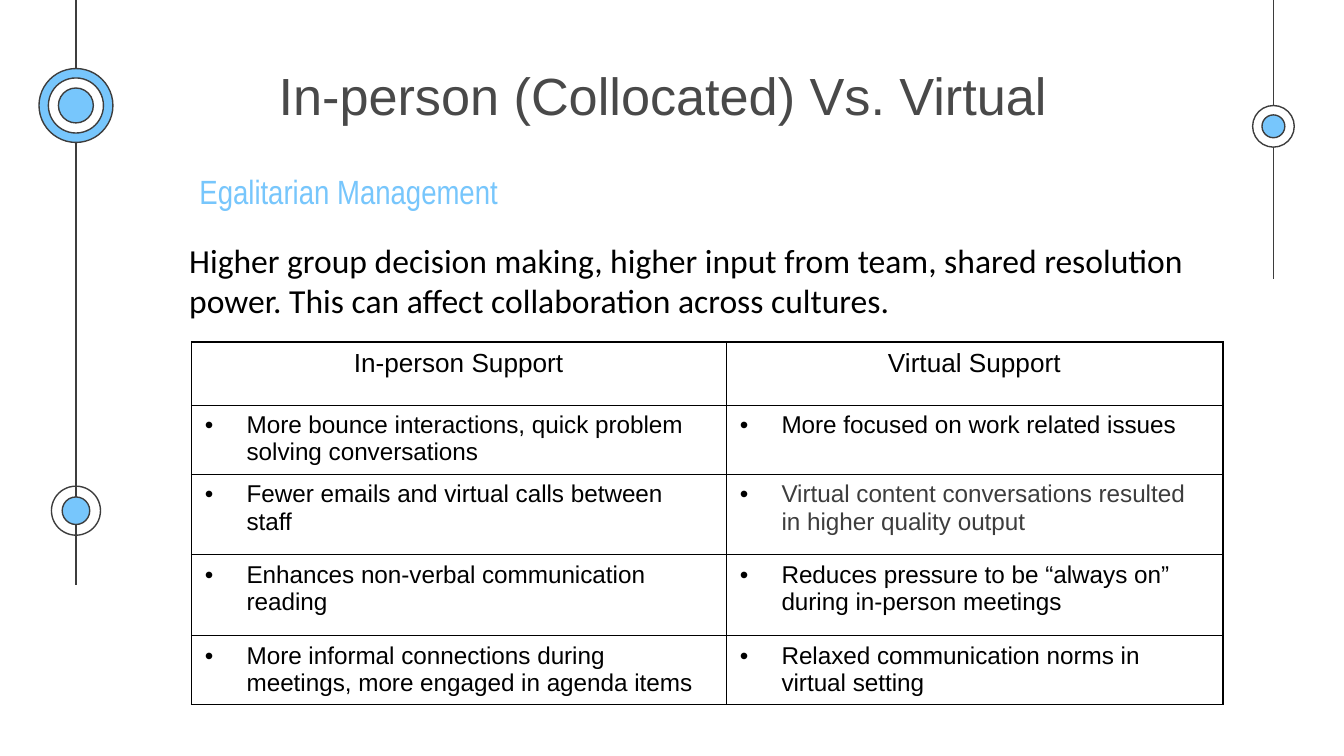
from pptx import Presentation
from pptx.dml.color import RGBColor
from pptx.enum.shapes import MSO_CONNECTOR, MSO_SHAPE
from pptx.enum.text import MSO_ANCHOR, PP_ALIGN
from pptx.oxml.ns import qn
from pptx.util import Emu, Pt
from lxml import etree

EMU_PER_PX = 4572  # 200 px to the inch
SLIDE_WIDTH, SLIDE_HEIGHT = 2000, 1125

BLACK = RGBColor(0x00, 0x00, 0x00)
WHITE = RGBColor(0xFF, 0xFF, 0xFF)
BLUE = RGBColor(0x77, 0xC6, 0xFC)
CHARCOAL = RGBColor(0x3D, 0x3D, 0x3D)
GREY = RGBColor(0x49, 0x49, 0x49)

STRAIGHT, OVAL = MSO_CONNECTOR.STRAIGHT, MSO_SHAPE.OVAL
LEFT, CENTER = PP_ALIGN.LEFT, PP_ALIGN.CENTER
TOP, MIDDLE = MSO_ANCHOR.TOP, MSO_ANCHOR.MIDDLE


def px(length):
    return Emu(round(length * EMU_PER_PX))


class SlideBuilder:
    font = "Arial"
    line_width = Pt(0.75)
    inset = 20
    bullet_indent = 62

    def __init__(self, slide):
        self.slide = slide

    def style_paragraph(self, paragraph, size, color, align=LEFT, font=None):
        paragraph.alignment = align
        paragraph.font.name = font or self.font
        paragraph.font.size = Pt(size)
        paragraph.font.color.rgb = color

    def vertical_line(self, x, bottom):
        line = self.slide.shapes.add_connector(STRAIGHT, px(x), px(0), px(x), px(bottom))
        line.line.color.rgb = CHARCOAL
        line.line.width = self.line_width
        etree.SubElement(line._element.spPr, qn("a:effectLst"))

    def circle(self, center_x, center_y, diameter, color):
        left, top = center_x - diameter / 2, center_y - diameter / 2
        shape = self.slide.shapes.add_shape(OVAL, px(left), px(top), px(diameter), px(diameter))
        shape.shadow.inherit = False
        if color is None:
            shape.fill.background()
        else:
            shape.fill.solid()
            shape.fill.fore_color.rgb = color
        shape.line.color.rgb = CHARCOAL
        shape.line.width = self.line_width

    def text(self, box, wording, size, color, align=LEFT, anchor=TOP, font=None):
        frame = self.slide.shapes.add_textbox(*map(px, box)).text_frame
        frame.word_wrap = True
        frame.vertical_anchor = anchor
        frame.margin_left = frame.margin_right = px(self.inset)
        frame.margin_top = frame.margin_bottom = px(self.inset)
        paragraph = frame.paragraphs[0]
        paragraph.text = wording
        self.style_paragraph(paragraph, size, color, align, font)

    def add_bullet(self, paragraph):
        properties = paragraph._p.get_or_add_pPr()
        properties.set("marL", str(px(self.bullet_indent)))
        properties.set("indent", str(-px(self.bullet_indent)))
        bullet_color = etree.SubElement(properties, qn("a:buClr"))
        etree.SubElement(bullet_color, qn("a:srgbClr"), val=str(BLACK))
        etree.SubElement(properties, qn("a:buFont"), typeface=self.font)
        etree.SubElement(properties, qn("a:buChar"), char="•")

    def add_borders(self, cell):
        properties = cell._tc.get_or_add_tcPr()
        for side in ("lnL", "lnR", "lnT", "lnB"):
            border = etree.SubElement(properties, qn(f"a:{side}"), w=str(self.line_width))
            fill = etree.SubElement(border, qn("a:solidFill"))
            etree.SubElement(fill, qn("a:srgbClr"), val=str(BLACK))

    def table(self, left, top, widths, heights, rows, accents):
        table = self.slide.shapes.add_table(
            len(rows), len(widths), px(left), px(top), px(sum(widths)), px(sum(heights))
        ).table
        for column, width in zip(table.columns, widths):
            column.width = px(width)
        for row, height in zip(table.rows, heights):
            row.height = px(height)
        for row_index, row in enumerate(rows):
            for column_index, wording in enumerate(row):
                cell = table.cell(row_index, column_index)
                self.add_borders(cell)
                cell.fill.background()
                cell.margin_left, cell.margin_right = px(20), px(21)
                cell.margin_top, cell.margin_bottom = px(10), px(6)
                paragraph = cell.text_frame.paragraphs[0]
                paragraph.text = wording
                if row_index == 0:
                    self.style_paragraph(paragraph, 14, BLACK, CENTER)
                else:
                    self.add_bullet(paragraph)
                    color = accents.get((row_index, column_index), BLACK)
                    self.style_paragraph(paragraph, 13, color)


def main():
    presentation = Presentation()
    presentation.slide_width = px(SLIDE_WIDTH)
    presentation.slide_height = px(SLIDE_HEIGHT)
    builder = SlideBuilder(presentation.slides.add_slide(presentation.slide_layouts[6]))

    # Side lines with ringed dots
    left_x, right_x = 113, 1895
    builder.vertical_line(left_x, 870)
    builder.vertical_line(right_x, 415)
    dots = [
        (left_x, 760, [(73, None), (41, BLUE)]),
        (right_x, 188, [(62, WHITE), (34, BLUE)]),
        (left_x, 157, [(110, BLUE), (82, WHITE), (52, BLUE)]),
    ]
    for x, y, rings in dots:
        for diameter, color in rings:
            builder.circle(x, y, diameter, color)

    # Headings and introduction
    builder.text((376, 75, 1220, 130), "In-person (Collocated) Vs. Virtual", 28, GREY, CENTER, MIDDLE)
    builder.text((224, 234, 590, 72), "Egalitarian Management", 18, BLUE, CENTER, font="Arial Narrow")
    builder.text(
        (262, 337, 1560, 184),
        "Higher group decision making, higher input from team, shared resolution power. "
        "This can affect collaboration across cultures.",
        18, BLACK, font="Calibri",
    )

    # Comparison table
    rows = [
        ("In-person Support", "Virtual Support"),
        ("More bounce interactions, quick problem solving conversations",
         "More focused on work related issues"),
        ("Fewer emails and virtual calls between staff",
         "Virtual content conversations resulted in higher quality output"),
        ("Enhances non-verbal communication reading",
         "Reduces pressure to be “always on” during in-person meetings"),
        ("More informal connections during meetings, more engaged in agenda items",
         "Relaxed communication norms in virtual setting"),
    ]
    builder.table(285, 509, (796, 739), (94, 101, 120, 120, 101), rows, {(2, 1): CHARCOAL})

    presentation.save("out.pptx")


if __name__ == "__main__":
    main()
